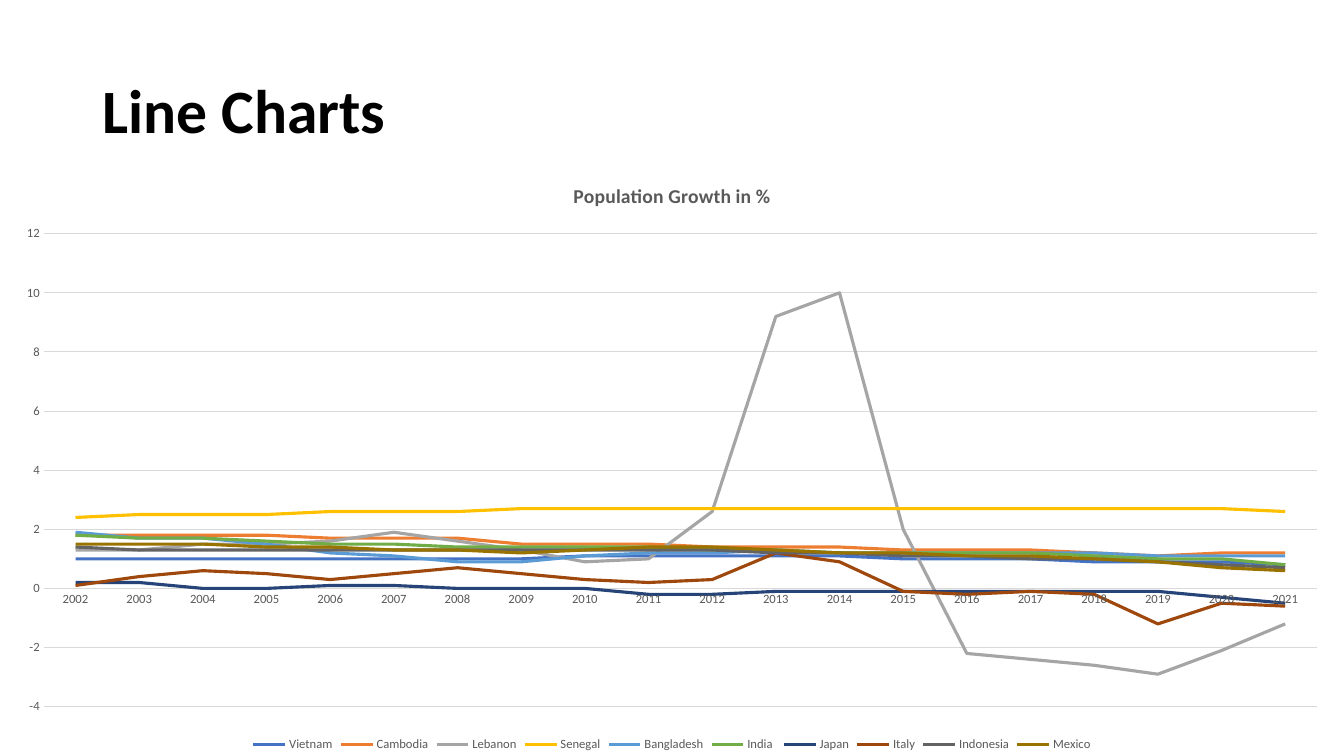
import pptx
import pptx.chart.data
import pptx.dml.color
import pptx.enum.chart
import pptx.enum.text
import pptx.util

Inches = pptx.util.Inches
Pt = pptx.util.Pt
RGB = pptx.dml.color.RGBColor.from_string

theme = {
    "font": "Calibri",
    "heading": RGB("000000"),
    "label": RGB("595959"),
    "grid": RGB("D9D9D9"),
    "heading_size": Pt(44),
    "chart_title_size": Pt(14),
    "chart_size": Pt(10),
    "label_size": Pt(9),
    "grid_width": Pt(0.75),
    "series_width": Pt(2.25),
    "series": ["4472C4", "ED7D31", "A5A5A5", "FFC000", "5B9BD5",
               "70AD47", "264478", "9E480E", "636363", "997300"],
}

growth = {
    "Vietnam": [1, 1, 1, 1, 1, 1, 1, 1, 1.1, 1.1,
                1.1, 1.1, 1.1, 1, 1, 1, 0.9, 0.9, 0.9, 0.8],
    "Cambodia": [1.8, 1.8, 1.8, 1.8, 1.7, 1.7, 1.7, 1.5, 1.5, 1.5,
                 1.4, 1.4, 1.4, 1.3, 1.3, 1.3, 1.2, 1.1, 1.2, 1.2],
    "Lebanon": [1.3, 1.3, 1.5, 1.5, 1.6, 1.9, 1.6, 1.3, 0.9, 1,
                2.6, 9.2, 10, 2, -2.2, -2.4, -2.6, -2.9, -2.1, -1.2],
    "Senegal": [2.4, 2.5, 2.5, 2.5, 2.6, 2.6, 2.6, 2.7, 2.7, 2.7,
                2.7, 2.7, 2.7, 2.7, 2.7, 2.7, 2.7, 2.7, 2.7, 2.6],
    "Bangladesh": [1.9, 1.7, 1.7, 1.5, 1.2, 1.1, 0.9, 0.9, 1.1, 1.2,
                   1.2, 1.3, 1.2, 1.2, 1.2, 1.2, 1.2, 1.1, 1.1, 1.1],
    "India ": [1.8, 1.7, 1.7, 1.6, 1.5, 1.5, 1.4, 1.4, 1.4, 1.4,
               1.3, 1.3, 1.2, 1.2, 1.2, 1.2, 1.1, 1, 1, 0.8],
    "Japan": [0.2, 0.2, 0, 0, 0.1, 0.1, 0, 0, 0, -0.2,
              -0.2, -0.1, -0.1, -0.1, -0.1, -0.1, -0.1, -0.1, -0.3, -0.5],
    "Italy": [0.1, 0.4, 0.6, 0.5, 0.3, 0.5, 0.7, 0.5, 0.3, 0.2,
              0.3, 1.2, 0.9, -0.1, -0.2, -0.1, -0.2, -1.2, -0.5, -0.6],
    "Indonesia": [1.4, 1.3, 1.3, 1.3, 1.3, 1.3, 1.3, 1.3, 1.3, 1.3,
                  1.3, 1.2, 1.2, 1.1, 1.1, 1, 1, 0.9, 0.8, 0.7],
    "Mexico": [1.5, 1.5, 1.5, 1.4, 1.4, 1.3, 1.3, 1.2, 1.3, 1.4,
               1.4, 1.3, 1.2, 1.2, 1.1, 1.1, 1, 0.9, 0.7, 0.6],
}


def style_font(font, size, color, bold=False):
    font.name = theme["font"]
    font.size = size
    font.color.rgb = color
    font.bold = bold


deck = pptx.Presentation()
deck.slide_width = Inches(13.33)
deck.slide_height = Inches(7.5)
page = deck.slides.add_slide(deck.slide_layouts[6])

heading_box = page.shapes.add_textbox(Inches(0.92), Inches(0.4), Inches(11.5), Inches(1.45))
heading_box.text_frame.word_wrap = True
heading_box.text_frame.vertical_anchor = pptx.enum.text.MSO_ANCHOR.MIDDLE
heading = heading_box.text_frame.paragraphs[0]
heading.text = "Line Charts"
heading.line_spacing = 0.9
style_font(heading.font, theme["heading_size"], theme["heading"], True)

chart_data = pptx.chart.data.CategoryChartData()
chart_data.categories = [str(year) for year in range(2002, 2022)]
for country, values in growth.items():
    chart_data.add_series(country, values)

chart = page.shapes.add_chart(
    pptx.enum.chart.XL_CHART_TYPE.LINE,
    Inches(0), Inches(1.6), Inches(13.33), Inches(5.9), chart_data).chart
style_font(chart.font, theme["chart_size"], theme["heading"])

chart.has_title = True
chart_title = chart.chart_title.text_frame.paragraphs[0]
chart_title.text = "Population Growth in %"
style_font(chart_title.font, theme["chart_title_size"], theme["label"], True)
chart.chart_title.include_in_layout = False

chart.has_legend = True
chart.legend.position = pptx.enum.chart.XL_LEGEND_POSITION.BOTTOM
chart.legend.include_in_layout = False
style_font(chart.legend.font, theme["label_size"], theme["label"])

for axis in (chart.category_axis, chart.value_axis):
    axis.major_tick_mark = pptx.enum.chart.XL_TICK_MARK.NONE
    axis.minor_tick_mark = pptx.enum.chart.XL_TICK_MARK.NONE
    style_font(axis.tick_labels.font, theme["label_size"], theme["label"])

chart.value_axis.minimum_scale = -4
chart.value_axis.maximum_scale = 12
chart.value_axis.major_unit = 2
chart.value_axis.has_major_gridlines = True
chart.value_axis.format.line.fill.background()
for line in (chart.category_axis.format.line, chart.value_axis.major_gridlines.format.line):
    line.color.rgb = theme["grid"]
    line.width = theme["grid_width"]

chart.plots[0].vary_by_categories = False
for series, color in zip(chart.plots[0].series, theme["series"]):
    series.smooth = False
    series.marker.style = pptx.enum.chart.XL_MARKER_STYLE.NONE
    series.format.line.color.rgb = RGB(color)
    series.format.line.width = theme["series_width"]

deck.save("out.pptx")
